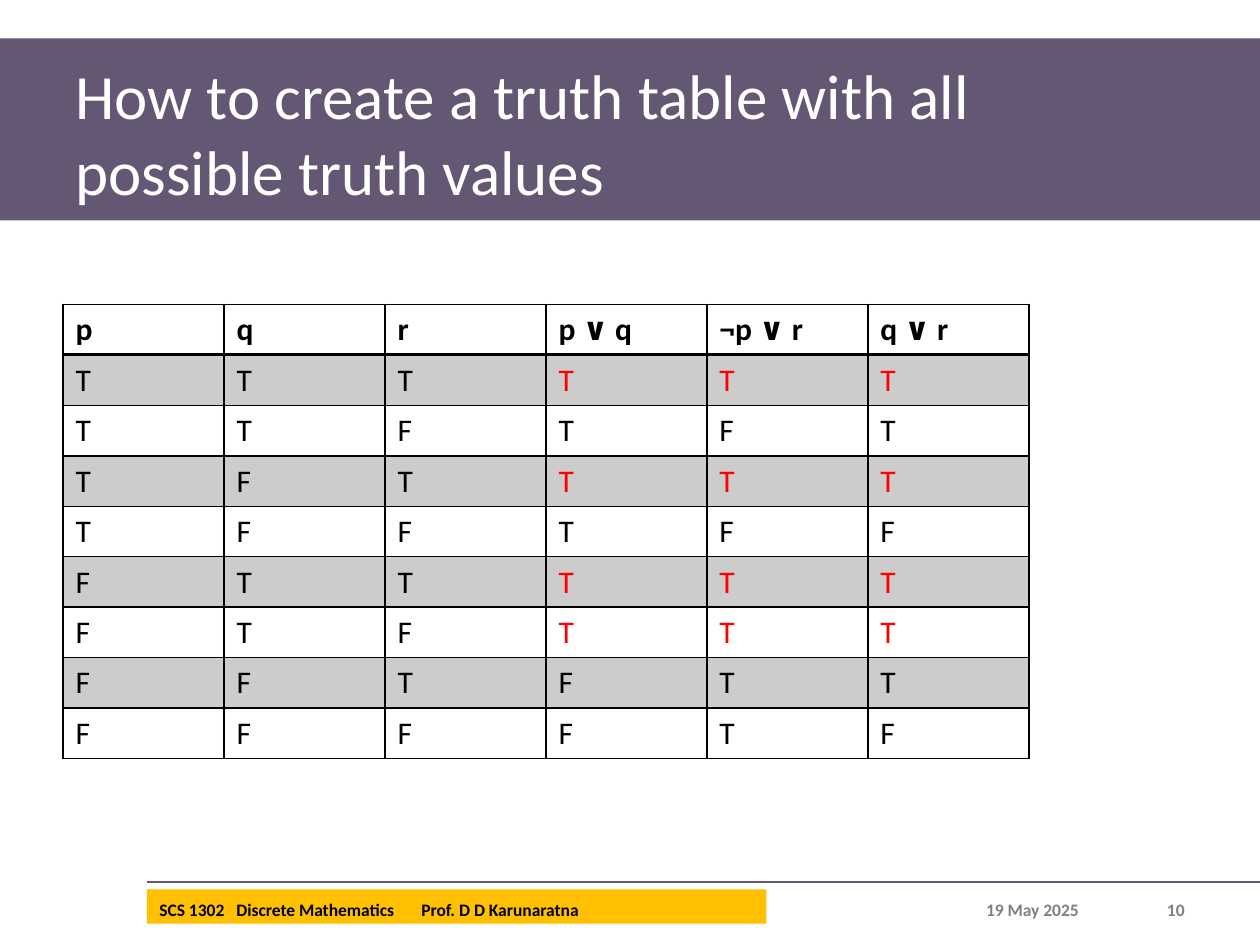
from itertools import product

from lxml import etree
from pptx import Presentation
from pptx.dml.color import RGBColor
from pptx.enum.shapes import MSO_CONNECTOR, MSO_SHAPE
from pptx.enum.text import MSO_ANCHOR, PP_ALIGN
from pptx.oxml.ns import qn
from pptx.util import Pt

RECTANGLE = MSO_SHAPE.RECTANGLE
STRAIGHT = MSO_CONNECTOR.STRAIGHT
BOTTOM = MSO_ANCHOR.BOTTOM
LEFT, RIGHT = PP_ALIGN.LEFT, PP_ALIGN.RIGHT
FONT = "Calibri"
COLORS = {
    "purple": "645773",
    "amber": "FFC000",
    "white": "FFFFFF",
    "black": "000000",
    "red": "FF0000",
    "gray": "808080",
}


def style_font(paragraph, size, color, bold=False):
    paragraph.font.name = FONT
    paragraph.font.size = Pt(size)
    paragraph.font.bold = bold
    paragraph.font.color.rgb = RGBColor.from_string(COLORS[color])


def add_text(slide, box, text, size, color, bold=False, align=LEFT, tabs=()):
    shape = slide.shapes.add_textbox(*map(Pt, box))
    frame = shape.text_frame
    frame.word_wrap = True
    frame.vertical_anchor = BOTTOM
    paragraph = frame.paragraphs[0]
    paragraph.text = text
    paragraph.alignment = align
    if tabs:
        properties = paragraph._p.get_or_add_pPr()
        tab_list = etree.SubElement(properties, qn("a:tabLst"))
        for position in tabs:
            etree.SubElement(tab_list, qn("a:tab"), pos=str(Pt(position)), algn="l")
    style_font(paragraph, size, color, bold)


presentation = Presentation()
presentation.slide_width = Pt(720)
presentation.slide_height = Pt(540)
slide = presentation.slides.add_slide(presentation.slide_layouts[6])

bars = [
    ((84, 508.3, 354, 19.5), "amber"),
    ((0, 22, 720, 104), "purple"),
]
for box, color in bars:
    bar = slide.shapes.add_shape(RECTANGLE, *map(Pt, box))
    bar.shadow.inherit = False
    bar.fill.solid()
    bar.fill.fore_color.rgb = RGBColor.from_string(COLORS[color])
    bar.line.fill.background()

footer_line = slide.shapes.add_connector(STRAIGHT, Pt(84), Pt(504), Pt(720), Pt(504))
footer_line.line.color.rgb = RGBColor.from_string(COLORS["purple"])
footer_line.line.width = Pt(1)
etree.SubElement(footer_line._element.spPr, qn("a:effectLst"))

add_text(slide, (36, 24, 648, 98.4),
         "How to create a truth table with all possible truth values", 36, "white")

headers = ["p", "q", "r", "p ∨ q", "¬p ∨ r", "q ∨ r"]
rows = [(p, q, r, p or q, not p or r, q or r)
        for p, q, r in product([True, False], repeat=3)]
labels = [headers] + [["T" if value else "F" for value in row] for row in rows]

column_width, row_height = 92, 28.8
table = slide.shapes.add_table(
    len(labels), len(headers), Pt(36), Pt(174),
    Pt(column_width * len(headers)), Pt(row_height * len(labels))).table
table.first_row = False
table.horz_banding = False
for column in table.columns:
    column.width = Pt(column_width)

for row_index, row_labels in enumerate(labels):
    table.rows[row_index].height = Pt(row_height)
    is_header = row_index == 0
    all_true = not is_header and all(rows[row_index - 1][3:])
    for column_index, label in enumerate(row_labels):
        cell = table.cell(row_index, column_index)
        paragraph = cell.text_frame.paragraphs[0]
        paragraph.text = label
        color = "red" if all_true and column_index >= 3 else "black"
        style_font(paragraph, 18, color, is_header)

        properties = cell._tc.get_or_add_tcPr()
        widths = {"L": 1, "R": 1, "T": 2 if row_index == 1 else 1,
                  "B": 2 if is_header else 1}
        for side, width in widths.items():
            border = etree.SubElement(properties, qn(f"a:ln{side}"), w=str(Pt(width)))
            border_fill = etree.SubElement(border, qn("a:solidFill"))
            etree.SubElement(border_fill, qn("a:srgbClr"), val=COLORS["black"])

        if row_index % 2:
            cell.fill.solid()
            cell.fill.fore_color.rgb = RGBColor.from_string(COLORS["black"])
            fill_color = properties.find(qn("a:solidFill")).find(qn("a:srgbClr"))
            etree.SubElement(fill_color, qn("a:alpha"), val="20000")
        else:
            cell.fill.background()

add_text(slide, (538, 504, 85.5, 25.2), "19 May 2025", 10, "gray", True, RIGHT)
add_text(slide, (84, 504, 354, 25.2),
         "SCS 1302\tDiscrete Mathematics\tProf. D D Karunaratna",
         10, "black", True, tabs=(44, 149.7))
add_text(slide, (624, 504, 60, 25.2), "10", 10, "gray", True, RIGHT)

presentation.save("out.pptx")
